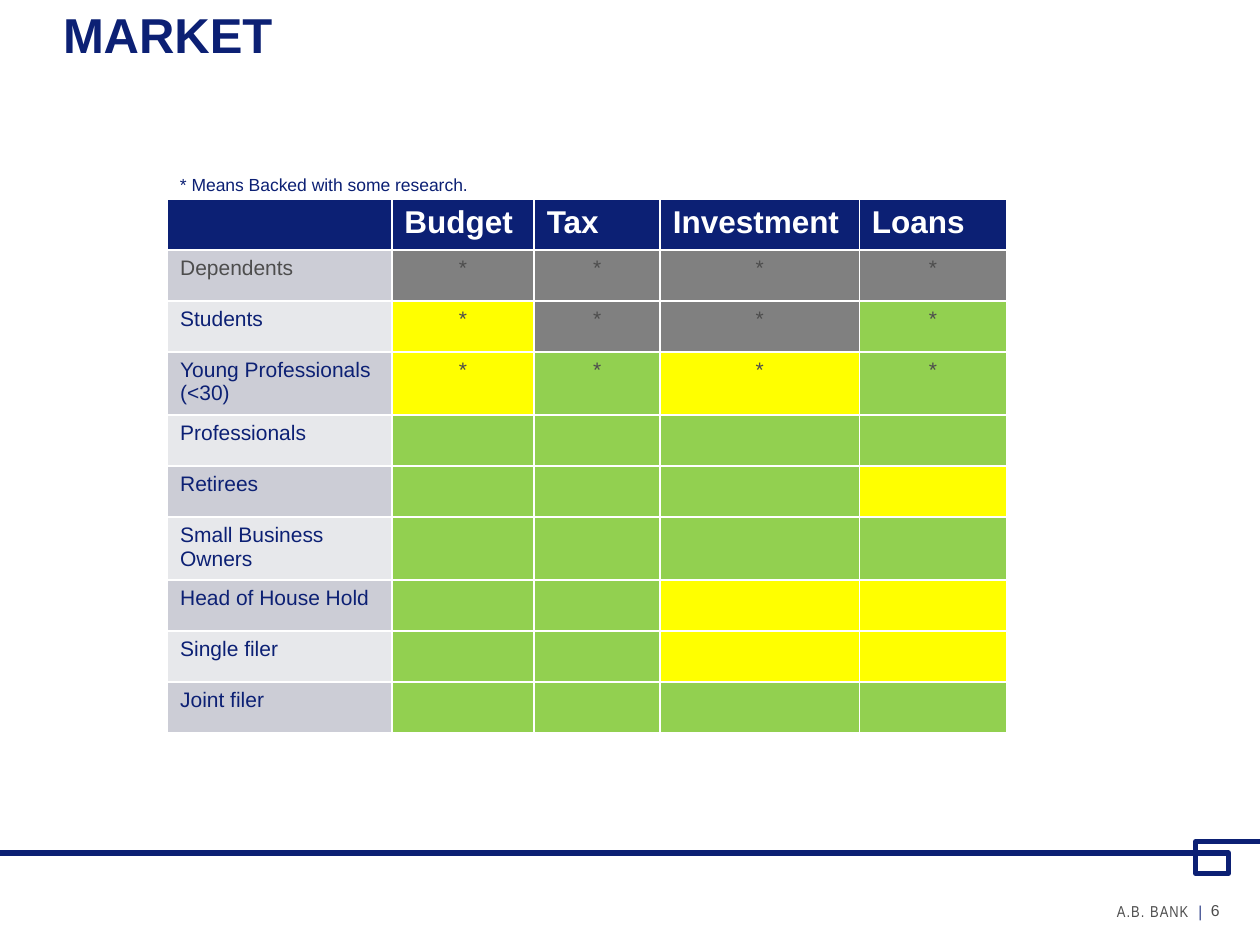
from pptx import Presentation
from pptx.dml.color import RGBColor
from pptx.enum.text import MSO_ANCHOR, PP_ALIGN
from pptx.util import Inches, Pt

NAVY = RGBColor(0x0C, 0x20, 0x74)
TEXT_GRAY = RGBColor(0x4D, 0x4D, 0x4D)
WHITE = RGBColor(0xFF, 0xFF, 0xFF)
BANDS = [RGBColor(0xCC, 0xCD, 0xD6), RGBColor(0xE7, 0xE8, 0xEB)]
RATINGS = {
    "x": RGBColor(0x80, 0x80, 0x80),
    "y": RGBColor(0xFF, 0xFF, 0x00),
    "g": RGBColor(0x92, 0xD0, 0x50),
}

TITLE = "MARKET"
NOTE = "* Means Backed with some research."
FOOTER = "A.B. BANK"
PAGE = "6"
HEADERS = ["", "Budget", "Tax", "Investment", "Loans"]
# Segment, one rating letter per product, backed by research
SEGMENTS = [
    ("Dependents", "xxxx", True),
    ("Students", "yxxg", True),
    ("Young Professionals (<30)", "ygyg", True),
    ("Professionals", "gggg", False),
    ("Retirees", "gggy", False),
    ("Small Business Owners", "gggg", False),
    ("Head of House Hold", "ggyy", False),
    ("Single filer", "ggyy", False),
    ("Joint filer", "gggg", False),
]
COL_WIDTHS = [1.78, 1.13, 1, 1.58, 1.17]
TABLE_LEFT, TABLE_TOP, TABLE_HEIGHT = 1.33, 1.58, 4.05
RULE = [(10.01, 6.68), (9.49, 6.68), (9.49, 6.93), (9.75, 6.93),
        (9.75, 6.77), (0, 6.77)]


def write(p, text, size=12, color=NAVY, bold=False, font="Arial",
          align=PP_ALIGN.LEFT, spacing=None):
    p.alignment = align
    r = p.add_run()
    r.text = text
    r.font.name, r.font.size, r.font.bold = font, Pt(size), bold
    r.font.color.rgb = color
    if spacing:
        r.font._element.set("spc", str(int(spacing * 100)))


def bottom_frame(shape):
    """Anchor the text at the bottom with no insets; return its paragraph."""
    tf = shape.text_frame
    tf.word_wrap = True
    tf.vertical_anchor = MSO_ANCHOR.BOTTOM
    tf.margin_left = tf.margin_right = tf.margin_top = tf.margin_bottom = 0
    return tf.paragraphs[0]


def add_box(s, left, top, width, height):
    return s.shapes.add_textbox(*map(Inches, (left, top, width, height)))


def fill_cell(cell, fill, text="", **fmt):
    cell.fill.solid()
    cell.fill.fore_color.rgb = fill
    p = cell.text_frame.paragraphs[0]
    p.font.size = Pt(12)
    if text:
        write(p, text, **fmt)


def add_market_table(s):
    table = s.shapes.add_table(
        len(SEGMENTS) + 1, len(HEADERS), Inches(TABLE_LEFT), Inches(TABLE_TOP),
        Inches(sum(COL_WIDTHS)), Inches(TABLE_HEIGHT)).table
    for col, width in zip(table.columns, COL_WIDTHS):
        col.width = Inches(width)
    for c, header in enumerate(HEADERS):
        fill_cell(table.cell(0, c), NAVY, header, size=18, color=WHITE, bold=True)
    for i, (segment, ratings, backed) in enumerate(SEGMENTS):
        fill_cell(table.cell(i + 1, 0), BANDS[i % 2], segment,
                  color=NAVY if i else TEXT_GRAY)
        for c, rating in enumerate(ratings, 1):
            fill_cell(table.cell(i + 1, c), RATINGS[rating], "*" if backed else "",
                      color=TEXT_GRAY, align=PP_ALIGN.CENTER)


def add_footer(s):
    builder = s.shapes.build_freeform(
        *(Inches(v) for v in RULE[0]), scale=1.0)
    builder.add_line_segments(
        [(Inches(x), Inches(y)) for x, y in RULE[1:]], close=False)
    rule = builder.convert_to_shape()
    rule.shadow.inherit = False
    rule.fill.background()
    rule.line.color.rgb = NAVY
    rule.line.width = Pt(3)

    write(bottom_frame(add_box(s, 9.61, 7.11, 0.39, 0.19)), PAGE,
          size=9, color=TEXT_GRAY)
    p = bottom_frame(add_box(s, 7.86, 7.11, 1.68, 0.2))
    for text, color in [(FOOTER, TEXT_GRAY), ("  |", NAVY)]:
        write(p, text, size=9, color=color, font="Arial Narrow",
              align=PP_ALIGN.RIGHT, spacing=0.6)


def main():
    prs = Presentation()
    prs.slide_width, prs.slide_height = Inches(10), Inches(7.5)
    s = prs.slides.add_slide(prs.slide_layouts[5])
    add_footer(s)

    title = s.shapes.title
    title.left, title.top = Inches(0.5), Inches(-0.08)
    title.width, title.height = Inches(9), Inches(0.58)
    write(bottom_frame(title), TITLE, size=28, bold=True)

    add_market_table(s)
    note = add_box(s, TABLE_LEFT, 1.33, 4, 0.27).text_frame
    note.word_wrap = True
    write(note.paragraphs[0], NOTE, size=10)
    prs.save("out.pptx")


if __name__ == "__main__":
    main()
